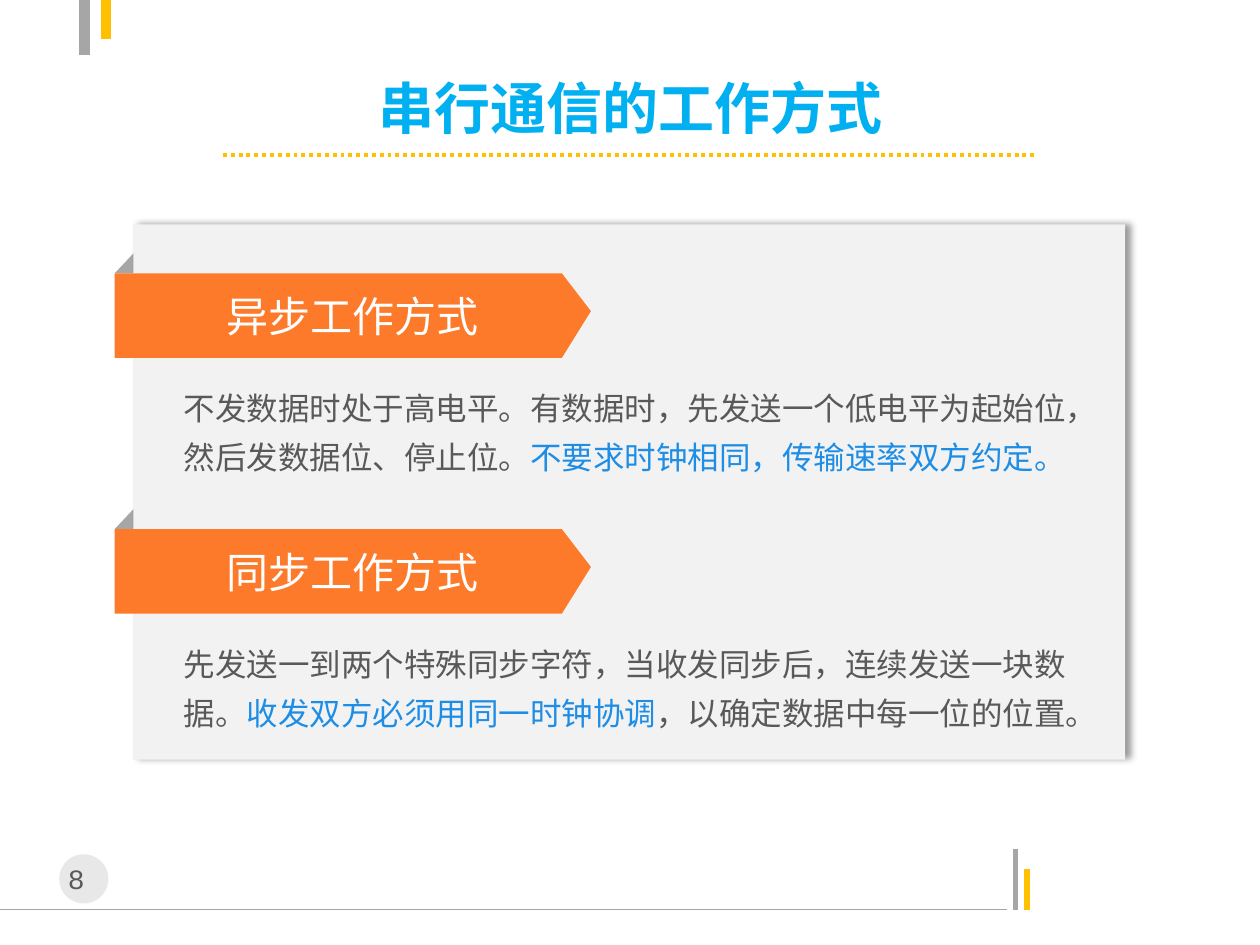
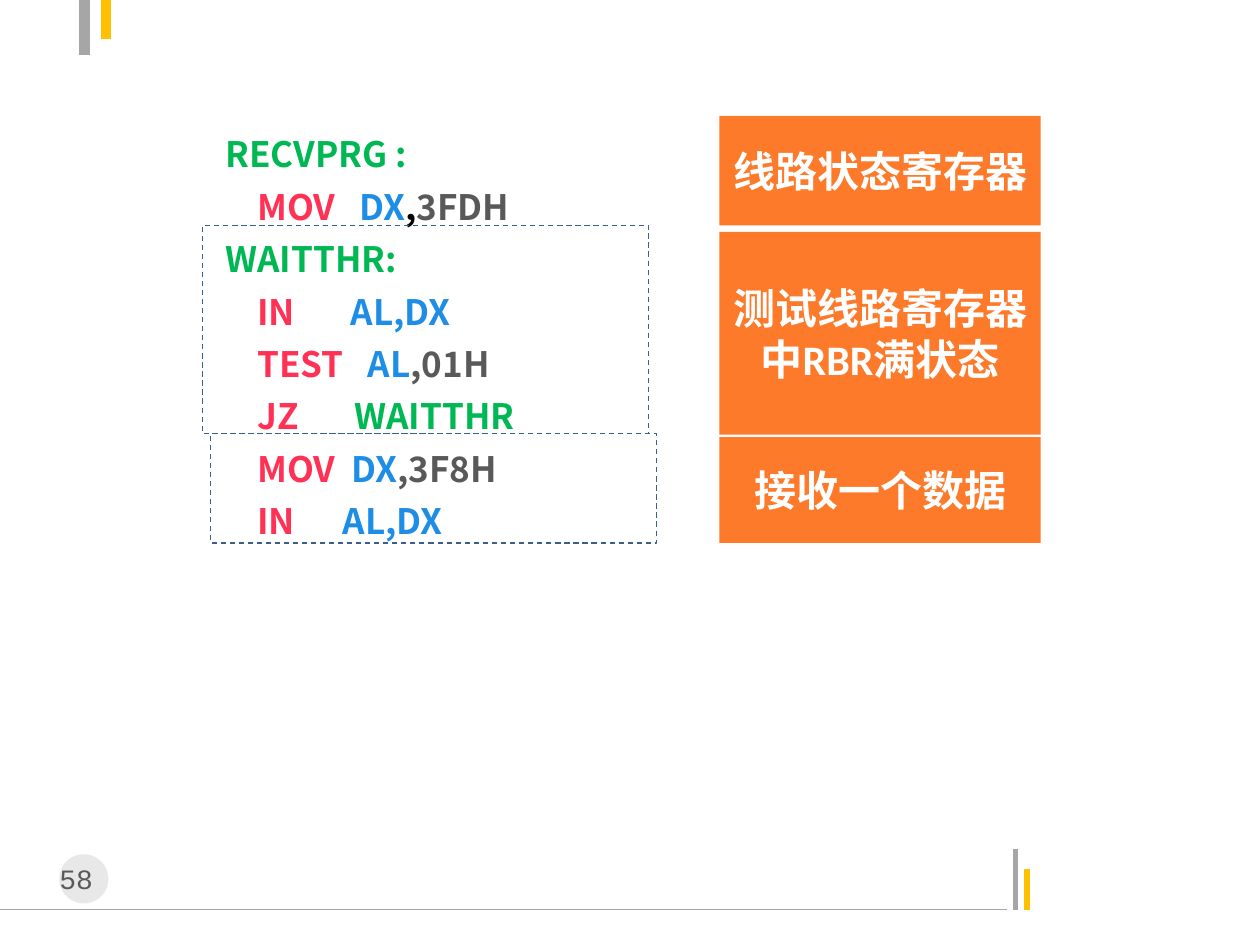
from dataclasses import dataclass

from lxml.etree import SubElement
from pptx import Presentation
from pptx.dml.color import RGBColor
from pptx.enum.dml import MSO_LINE
from pptx.enum.shapes import MSO_CONNECTOR, MSO_SHAPE
from pptx.enum.text import MSO_ANCHOR, MSO_AUTO_SIZE, PP_ALIGN
from pptx.oxml.ns import qn
from pptx.util import Inches, Pt


@dataclass(frozen=True)
class Theme:
    # Colours
    title: str = "00B0F0"
    orange: str = "FD7A2A"
    gold: str = "FFC000"
    gray: str = "A6A6A6"
    badge: str = "BFBFBF"
    panel: str = "F2F2F2"
    white: str = "FFFFFF"
    black: str = "000000"
    text: str = "595959"
    label: str = "00B853"
    opcode: str = "FF3255"
    accent: str = "1D8DE5"
    outline: str = "3A5F8C"
    # Fonts and sizes
    cjk: str = "Noto Sans CJK SC"
    latin: str = "Calibri"
    mono: str = "Courier New"
    title_size: int = 32
    heading_size: int = 24
    code_size: int = 20
    body_size: int = 18
    number_size: int = 16


THEME = Theme()


# ---- Drawing helpers ----
def rgb(color):
    return RGBColor.from_string(color)


def add_run(paragraph, text, color, size, font=THEME.cjk, bold=False):
    run = paragraph.add_run()
    run.text = text
    run.font.name, run.font.size, run.font.bold = font, Pt(size), bold
    run.font.color.rgb = rgb(color)
    east_asian = SubElement(run.font._element, qn("a:ea"))
    east_asian.set("typeface", THEME.cjk)


def add_line(slide, start, end, color, width, dash=None):
    line = slide.shapes.add_connector(
        MSO_CONNECTOR.STRAIGHT, *(Inches(v) for v in (*start, *end)))
    line.line.color.rgb = rgb(color)
    line.line.width = Pt(width)
    if dash:
        line.line.dash_style = dash
    SubElement(line._element.spPr, qn("a:effectLst"))


def fill_plain(shape, color):
    shape.shadow.inherit = False
    shape.fill.solid()
    shape.fill.fore_color.rgb = rgb(color)
    shape.line.fill.background()


def add_preset(slide, preset, box, color):
    shape = slide.shapes.add_shape(preset, *(Inches(v) for v in box))
    fill_plain(shape, color)
    return shape


def set_alpha(color_element, percent):
    SubElement(color_element, qn("a:alpha")).set("val", str(percent * 1000))


def add_text_box(slide, box):
    frame = slide.shapes.add_textbox(*(Inches(v) for v in box)).text_frame
    frame.word_wrap = True
    return frame


def center_heading(shape, text, font=THEME.cjk, bold=False):
    frame = shape.text_frame
    frame.word_wrap = True
    frame.vertical_anchor = MSO_ANCHOR.MIDDLE
    paragraph = frame.paragraphs[0]
    paragraph.alignment = PP_ALIGN.CENTER
    add_run(paragraph, text, THEME.white, THEME.heading_size, font, bold)


# ---- Parts shared by the slides ----
def add_frame(slide, number):
    # Footer rule with its two end bars
    base = 7.22
    add_line(slide, (0, base), (7.99, base), THEME.gray, 0.75)
    add_line(slide, (8.06, base), (8.06, 6.74), THEME.gray, 3)
    add_line(slide, (8.15, base), (8.15, 6.9), THEME.gold, 3)
    # Bars at the top edge
    add_line(slide, (0.67, 0), (0.67, 0.44), THEME.gray, 6)
    add_line(slide, (0.84, 0), (0.84, 0.31), THEME.gold, 6)
    # Page number on its badge
    badge = add_preset(slide, MSO_SHAPE.OVAL, (0.47, 6.78, 0.39, 0.39), THEME.badge)
    set_alpha(badge._element.spPr.find(qn("a:solidFill"))[0], 35)
    paragraph = add_text_box(slide, (0.25, 6.79, 0.71, 0.37)).paragraphs[0]
    paragraph.alignment = PP_ALIGN.CENTER
    add_run(paragraph, str(number), THEME.text, THEME.number_size, THEME.mono)


def add_title(slide, text):
    title = slide.shapes.title
    title.left, title.top, title.width, title.height = (
        Inches(v) for v in (1.38, 0.6, 7.25, 0.5))
    frame = title.text_frame
    frame.word_wrap = False
    frame.auto_size = MSO_AUTO_SIZE.NONE
    frame.vertical_anchor = MSO_ANCHOR.MIDDLE
    paragraph = frame.paragraphs[0]
    paragraph.alignment = PP_ALIGN.CENTER
    add_run(paragraph, text, THEME.title, THEME.title_size, bold=True)
    add_line(slide, (1.77, 1.23), (8.23, 1.23), THEME.gold, 2.25, MSO_LINE.ROUND_DOT)


# ---- Working modes slide ----
def add_panel(slide, box):
    panel = add_preset(slide, MSO_SHAPE.RECTANGLE, box, THEME.panel)
    effects = panel._element.spPr.find(qn("a:effectLst"))
    shadow = SubElement(effects, qn("a:outerShdw"), blurRad=str(Pt(4)),
                        dist=str(Pt(3)), dir="0", algn="l", rotWithShape="0")
    set_alpha(SubElement(shadow, qn("a:srgbClr"), val=THEME.black), 40)


def add_banner(slide, box, text):
    left, top, width, height = box
    shoulder = left + width - 0.23
    outline = [(left, top), (shoulder, top), (left + width, top + 0.3),
               (shoulder, top + height), (left, top + height)]
    points = [(Inches(x), Inches(y)) for x, y in outline]
    builder = slide.shapes.build_freeform(*points[0])
    builder.add_line_segments(points[1:], close=True)
    banner = builder.convert_to_shape()
    fill_plain(banner, THEME.orange)
    center_heading(banner, text)


def add_mode(slide, left, top, heading, runs):
    add_banner(slide, (left, top, 3.78, 0.67), heading)
    paragraph = add_text_box(slide, (left + 0.45, top + 0.78, 7.34, 0.88)).paragraphs[0]
    paragraph.line_spacing = 1.3
    for text, color in runs:
        add_run(paragraph, text, color, THEME.body_size)


def build_modes_slide(prs):
    slide = prs.slides.add_slide(prs.slide_layouts[5])
    add_frame(slide, 8)
    add_title(slide, "串行通信的工作方式")
    modes = [
        ("异步工作方式", [
            ("不发数据时处于高电平。有数据时，先发送一个低电平为起始位，"
             "然后发数据位、停止位。", THEME.text),
            ("不要求时钟相同，传输速率双方约定。", THEME.accent)]),
        ("同步工作方式", [
            ("先发送一到两个特殊同步字符，当收发同步后，连续发送一块数据。", THEME.text),
            ("收发双方必须用同一时钟协调", THEME.accent),
            ("，以确定数据中每一位的位置。", THEME.text)]),
    ]
    left, first_top, pitch = 0.91, 2.17, 2.03
    tops = [first_top + i * pitch for i in range(len(modes))]
    # Ribbon folds lie behind the panel
    for top in tops:
        add_preset(slide, MSO_SHAPE.ISOSCELES_TRIANGLE,
                   (left, top - 0.25, 0.47, 0.25), THEME.gray)
    add_panel(slide, (1.06, 1.78, 7.87, 4.25))
    for top, (heading, runs) in zip(tops, modes):
        add_mode(slide, left, top, heading, runs)


# ---- Receive program slide ----
def add_listing(slide, box, lines):
    frame = add_text_box(slide, box)
    for i, line in enumerate(lines):
        paragraph = frame.add_paragraph() if i else frame.paragraphs[0]
        paragraph.line_spacing = 1.25
        for text, color in line:
            add_run(paragraph, text, color, THEME.code_size, bold=True)


def add_step_outline(slide, box):
    outline = add_preset(slide, MSO_SHAPE.RECTANGLE, box, THEME.white)
    outline.fill.background()
    outline.line.color.rgb = rgb(THEME.outline)
    outline.line.width = Pt(0.75)
    outline.line.dash_style = MSO_LINE.DASH


def add_step_notes(slide, left, width, notes):
    for top, height, text in notes:
        note = add_preset(slide, MSO_SHAPE.RECTANGLE,
                          (left, top, width, height), THEME.orange)
        center_heading(note, text, THEME.latin, bold=True)


def build_receive_slide(prs):
    slide = prs.slides.add_slide(prs.slide_layouts[6])
    add_frame(slide, 58)
    label, opcode, register, value = (
        THEME.label, THEME.opcode, THEME.accent, THEME.text)
    add_listing(slide, (1.69, 0.92, 3.62, 3.47), [
        [("RECVPRG :", label)],
        [("    MOV   ", opcode), ("DX", register), (",", THEME.black), ("3FDH", value)],
        [("WAITTHR:", label)],
        [("    IN       ", opcode), ("AL,DX", register)],
        [("    TEST   ", opcode), ("AL", register), (",01H", value)],
        [("    JZ       ", opcode), ("WAITTHR", label)],
        [("    MOV  ", opcode), ("DX", register), (",3F8H", value)],
        [("    IN      ", opcode), ("AL,DX", register)],
    ])
    add_step_outline(slide, (1.61, 1.79, 3.54, 1.65))
    add_step_outline(slide, (1.67, 3.44, 3.54, 0.87))
    add_step_notes(slide, 5.71, 2.55, [
        (0.92, 0.87, "线路状态寄存器"),
        (1.84, 1.61, "测试线路寄存器中RBR满状态"),
        (3.47, 0.84, "接收一个数据"),
    ])


def main():
    prs = Presentation()
    prs.slide_width, prs.slide_height = Inches(10), Inches(7.5)
    build_modes_slide(prs)
    build_receive_slide(prs)
    prs.save("out.pptx")


if __name__ == "__main__":
    main()
